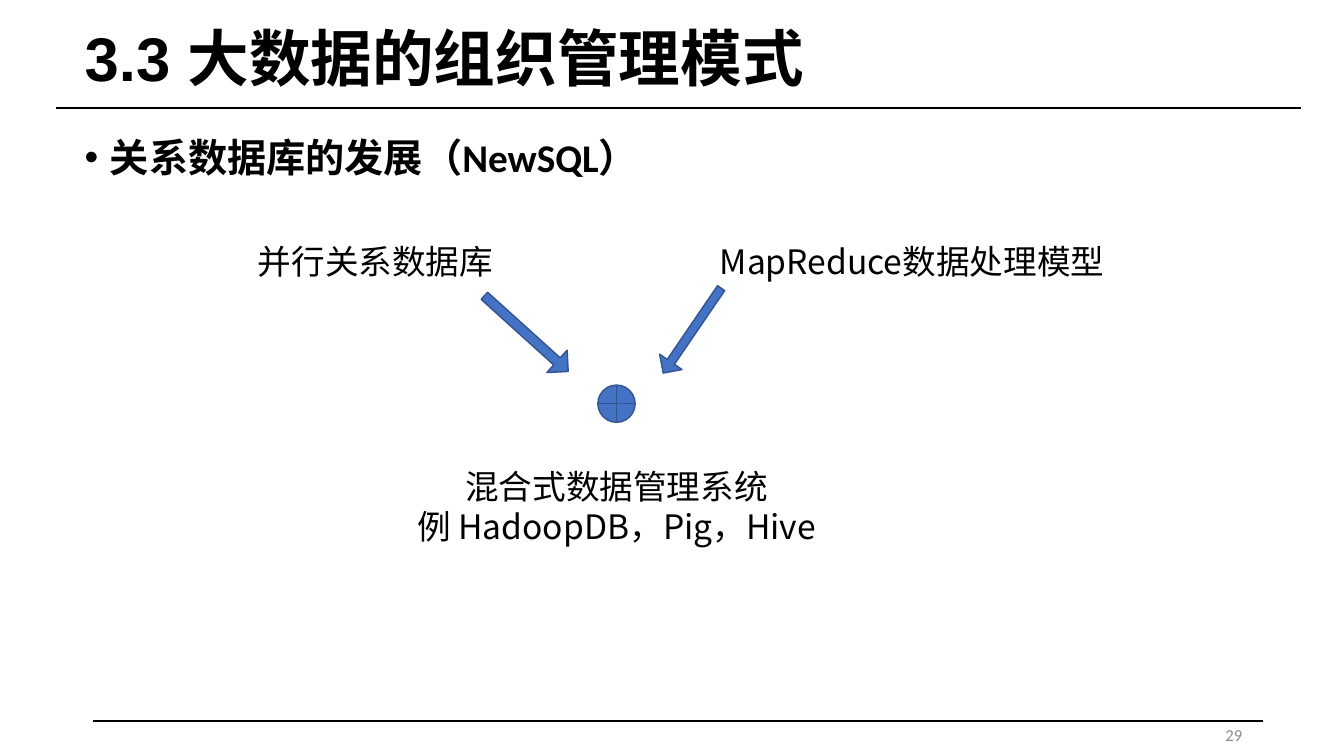
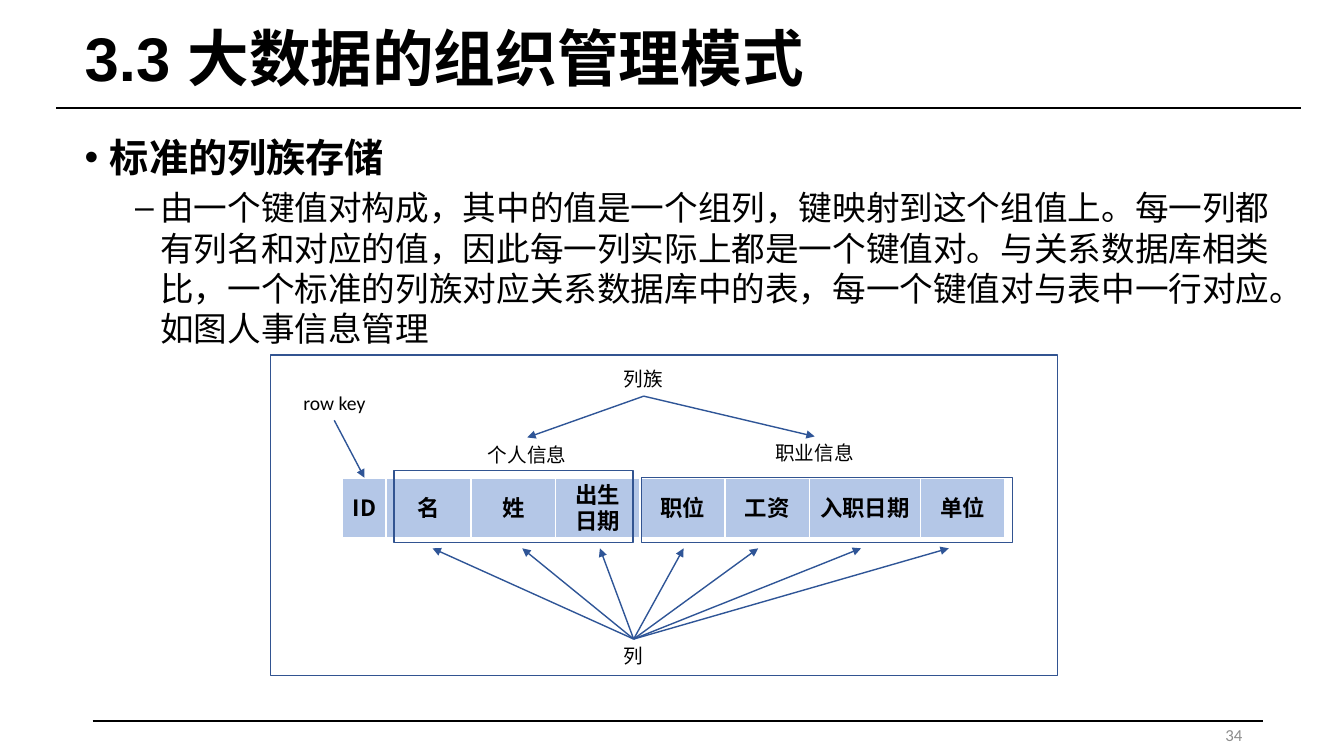
from itertools import accumulate

from lxml.etree import SubElement
from pptx import Presentation
from pptx.dml.color import RGBColor
from pptx.enum.shapes import MSO_CONNECTOR, MSO_SHAPE
from pptx.enum.text import MSO_ANCHOR, MSO_AUTO_SIZE, PP_ALIGN
from pptx.oxml.ns import qn
from pptx.util import Inches, Pt

COLORS = {
    "text": "000000",
    "page": "8C8C8C",
    "blue": "4472C4",
    "edge": "325491",
    "arrow": "2F5597",
    "cell": "B4C7E7",
    "white": "FFFFFF",
}
CJK = "Noto Sans CJK SC"
FONTS = {
    "title": {"name": "Arial", "size": Pt(44), "bold": True},
    "head": {"name": "Calibri", "size": Pt(28), "bold": True},
    "detail": {"name": "Calibri", "size": Pt(24), "bold": False},
    "label": {"name": CJK, "size": Pt(24)},
    "cell": {"name": CJK, "size": Pt(16), "bold": True},
    "note": {"name": "Calibri", "size": Pt(14)},
    "page": {"name": "Calibri", "size": Pt(12)},
}
TITLE = "3.3 大数据的组织管理模式"
LEVELS = [("head", 0.25, 0), ("detail", 0.75, 5)]
TOP, BOTTOM = 0, 2


def color(name):
    return RGBColor.from_string(COLORS[name])


def write(para, text, style, ink="text", align=PP_ALIGN.LEFT):
    para.alignment = align
    run = para.add_run()
    run.text = text
    for key, value in FONTS[style].items():
        setattr(run.font, key, value)
    run.font.color.rgb = color(ink)
    SubElement(run.font._element, qn("a:ea"), typeface=CJK)


def place(shape, left, top, width, height):
    spots = {"left": left, "top": top, "width": width, "height": height}
    for key, value in spots.items():
        setattr(shape, key, Inches(value))


def label(slide, box, lines, style, wrap=False, ink="text", align=PP_ALIGN.LEFT):
    shape = slide.shapes.add_textbox(*map(Inches, box))
    frame = shape.text_frame
    frame.word_wrap = wrap
    if not wrap:
        frame.margin_right = 0
    for index, text in enumerate(lines):
        para = frame.add_paragraph() if index else frame.paragraphs[0]
        write(para, text, style, ink, align)
    return shape


def draw(slide, kind, box, fill=None, edge="edge"):
    shape = slide.shapes.add_shape(kind, *map(Inches, box))
    shape.shadow.inherit = False
    if fill:
        shape.fill.solid()
        shape.fill.fore_color.rgb = color(fill)
    else:
        shape.fill.background()
    shape.line.color.rgb = color(edge)
    shape.line.width = Pt(1)
    return shape


def link(slide, start, end, ink="arrow", width=1):
    line = slide.shapes.add_connector(
        MSO_CONNECTOR.STRAIGHT, *map(Inches, (*start, *end)))
    line.line.color.rgb = color(ink)
    line.line.width = Pt(width)
    SubElement(line.element.spPr, qn("a:effectLst"))
    return line


def arrow(slide, source, side, target=None, end=(0, 0)):
    line = link(slide, (0, 0), end)
    line.begin_connect(source, side)
    if target is not None:
        line.end_connect(target, TOP)
    SubElement(line.element.spPr.find(qn("a:ln")), qn("a:tailEnd"), type="triangle")


def set_layout(deck):
    layout = deck.slide_layouts[1]
    title, body = layout.placeholders[0], layout.placeholders[1]
    place(title, 0.74, 0.15, 11.95, 0.92)
    place(body, 0.74, 1.27, 11.98, 5.49)
    return layout


def add_rules(slide, layout):
    for left, right, y, width in [(0.56, 12.9, 1.07, 1.75), (0.92, 12.53, 7.15, 1.25)]:
        line = link(slide, (left, y), (right, y), "text", width)
        layout.shapes.element.append(line.element)


def add_page(deck, layout, items, number):
    slide = deck.slides.add_slide(layout)
    title = slide.shapes.title.text_frame
    title.vertical_anchor = MSO_ANCHOR.MIDDLE
    title.paragraphs[0].line_spacing = 0.9
    write(title.paragraphs[0], TITLE, "title")
    body = slide.placeholders[1].text_frame
    for frame in (title, body):
        frame.auto_size = MSO_AUTO_SIZE.NONE
    for level, (text, (style, indent, gap)) in enumerate(zip(items, LEVELS)):
        para = body.add_paragraph() if level else body.paragraphs[0]
        para.level = level
        para.space_before = Pt(gap)
        props = para._p.get_or_add_pPr()
        props.set("marL", str(Inches(indent)))
        props.set("indent", str(Inches(-0.25)))
        write(para, text, style)
    page = label(slide, (9.42, 7.09, 3, 0.4), [number], "page",
                 True, "page", PP_ALIGN.RIGHT)
    page.text_frame.vertical_anchor = MSO_ANCHOR.MIDDLE
    return slide


def add_merge(slide, x, y):
    label(slide, (x, y, 2.56, 0.5), ["并行关系数据库"], "label")
    label(slide, (x + 4.58, y, 4.22, 0.5), ["MapReduce数据处理模型"], "label")
    for left, top, width, height, turn in [
        (2.61, 0.41, 0.3, 1.12, 312.1),
        (4.27, 0.43, 0.27, 1.02, 34.3),
    ]:
        shape = draw(slide, MSO_SHAPE.DOWN_ARROW,
                     (x + left, y + top, width, height), "blue")
        shape.adjustments[0] = 0.32
        shape.rotation = turn
    draw(slide, MSO_SHAPE.FLOWCHART_OR, (x + 3.47, y + 1.48, 0.37, 0.37), "blue")
    label(slide, (x + 1.5, y + 2.23, 4.31, 0.91),
          ["混合式数据管理系统", "例 HadoopDB，Pig，Hive"], "label", True,
          align=PP_ALIGN.CENTER)


def add_cells(slide, x, y):
    names = ["ID", "名", "姓", "出生日期", "职位", "工资", "入职日期", "单位"]
    widths = [0.43] + [0.84] * 5 + [1.1, 0.84]
    cells = []
    for name, width, left in zip(names, widths, accumulate(widths, initial=x)):
        cell = draw(slide, MSO_SHAPE.RECTANGLE, (left, y, width, 0.59), "cell", "white")
        frame = cell.text_frame
        frame.word_wrap = len(name) > 2
        frame.vertical_anchor = MSO_ANCHOR.MIDDLE
        write(frame.paragraphs[0], name, "cell", align=PP_ALIGN.CENTER)
        cells.append(cell)
    return cells


def add_family(slide, x, y):
    cells = add_cells(slide, x + 0.72, y + 1.22)
    for left, top, width, height in [
        (0, 0, 7.81, 3.18),
        (1.23, 1.15, 2.37, 0.71),
        (3.68, 1.22, 3.68, 0.64),
    ]:
        draw(slide, MSO_SHAPE.RECTANGLE, (x + left, y + top, width, height))
    person, job, family, column, key = [
        label(slide, (x + left, y + top, width, 0.34), [text], "note")
        for text, left, top, width in [
            ("个人信息", 2.06, 0.82, 0.98),
            ("职业信息", 4.91, 0.81, 0.98),
            ("列族", 3.41, 0.07, 0.59),
            ("列", 3.41, 2.82, 0.39),
            ("row key", 0.23, 0.31, 0.81),
        ]
    ]
    for source, target in [(family, person), (family, job), (key, cells[0])]:
        arrow(slide, source, BOTTOM, target)
    for left in [1.61, 2.5, 3.27, 4.1, 4.84, 5.86, 6.73]:
        arrow(slide, column, TOP, end=(x + left, y + 1.92))


def main():
    deck = Presentation()
    deck.slide_width, deck.slide_height = Inches(13.33), Inches(7.5)
    layout = set_layout(deck)
    merge = add_page(deck, layout, ["关系数据库的发展（NewSQL）"], "29")
    add_rules(merge, layout)
    add_merge(merge, 2.46, 2.34)
    detail = (
        "由一个键值对构成，其中的值是一个组列，键映射到这个组值上。"
        "每一列都有列名和对应的值，因此每一列实际上都是一个键值对。"
        "与关系数据库相类比，一个标准的列族对应关系数据库中的表，"
        "每一个键值对与表中一行对应。如图人事信息管理"
    )
    family = add_page(deck, layout, ["标准的列族存储", detail], "34")
    add_family(family, 2.68, 3.52)
    deck.save("out.pptx")


if __name__ == "__main__":
    main()
